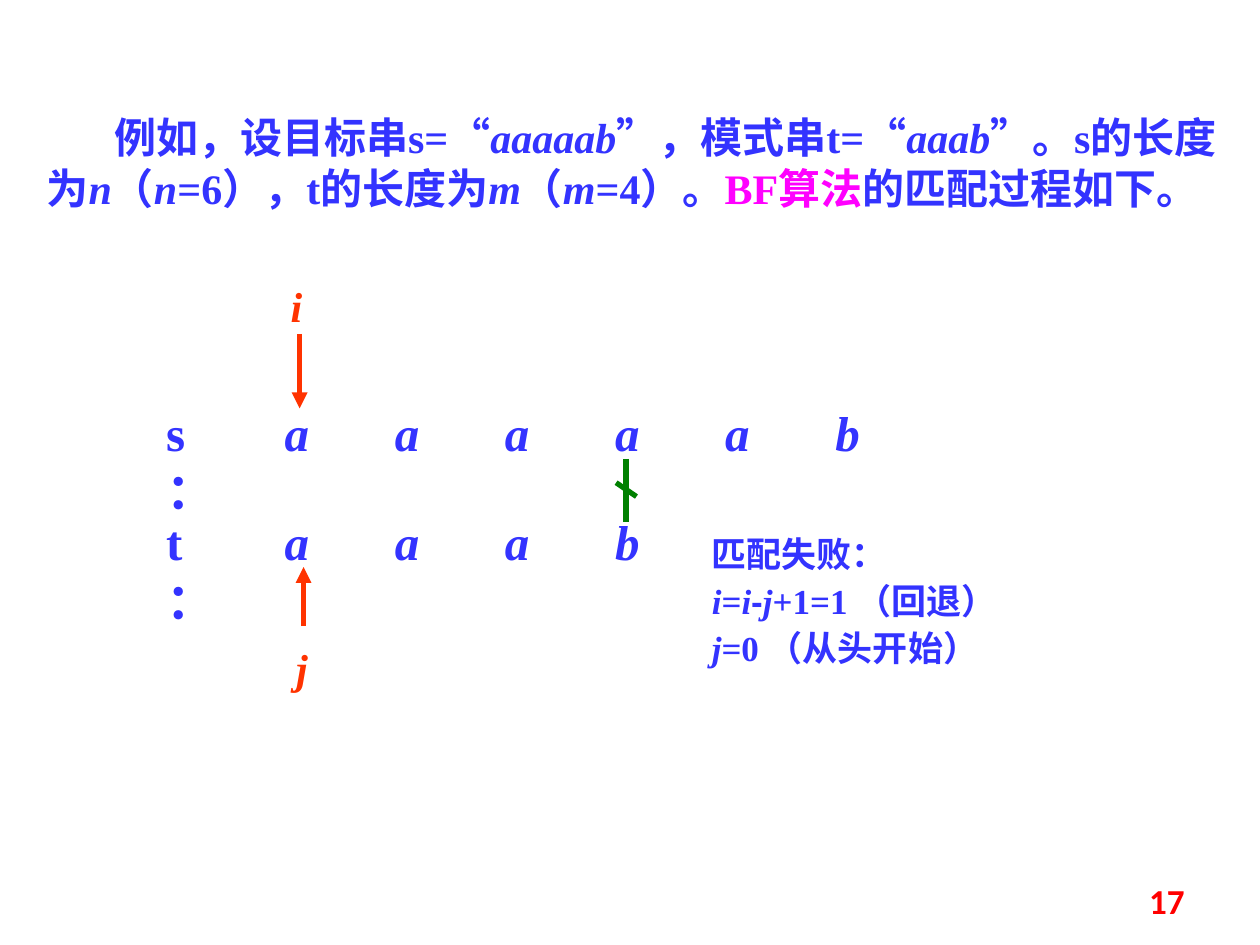
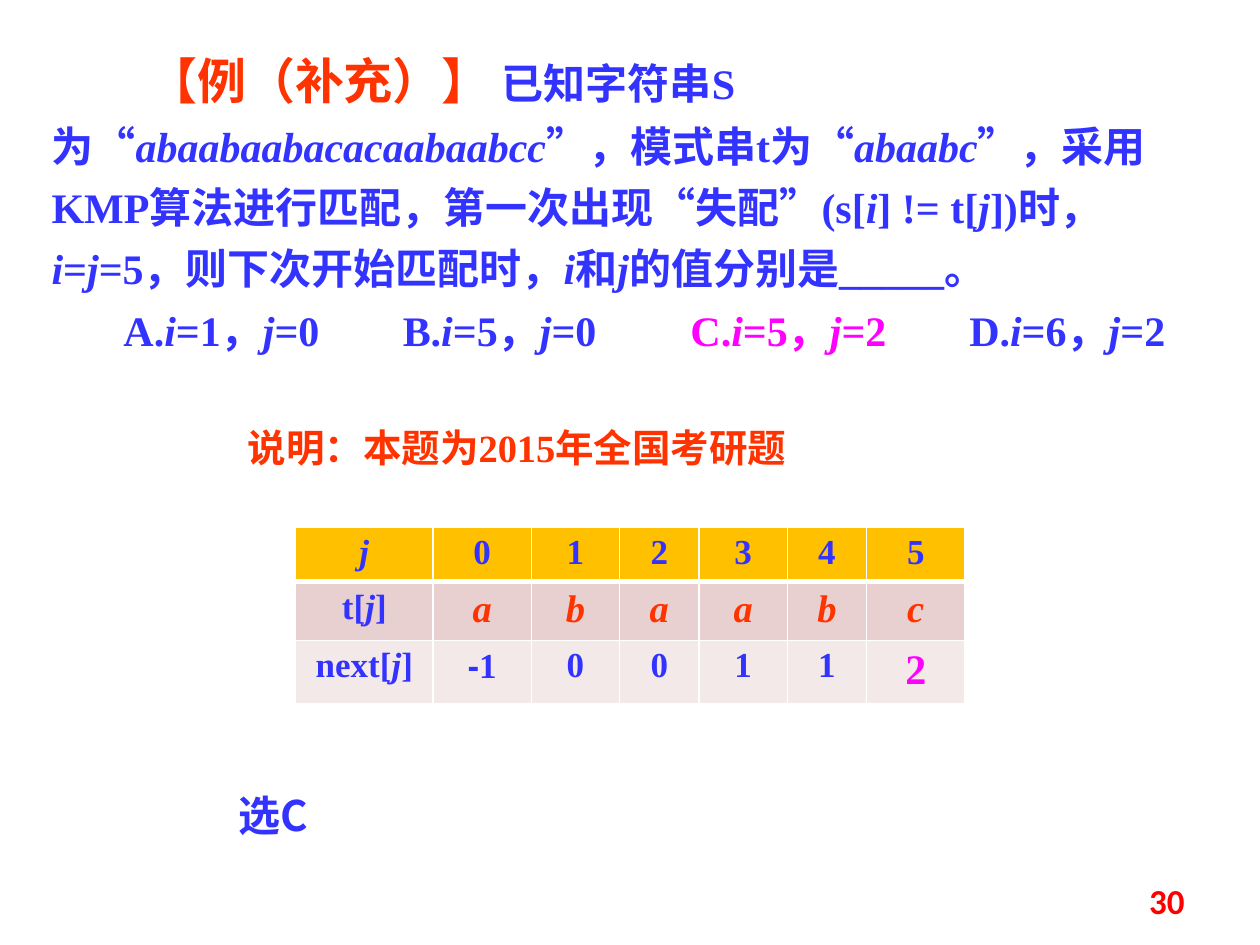
"""Build two slides on BF and KMP string matching."""
import dataclasses

import pptx
import pptx.dml.color
import pptx.enum.shapes
import pptx.enum.text
import pptx.oxml
import pptx.oxml.ns
import pptx.util
from lxml import etree

Cm = pptx.util.Cm
Pt = pptx.util.Pt
qn = pptx.oxml.ns.qn
Align = pptx.enum.text.PP_ALIGN

CHINESE_FONT = "Noto Sans CJK SC"
COLORS = {
    "blue": "3333FF",
    "orange": "FF3300",
    "pink": "FF00FF",
    "green": "008000",
    "red": "FF0000",
    "white": "FFFFFF",
    "header": "FFC000",
    "band": "E8D0D0",
    "light_band": "F4E9E9",
}


def rgb(color):
    return pptx.dml.color.RGBColor.from_string(COLORS[color])


def write(paragraph, text, size=24, color="blue", font="Times New Roman",
          east_asian_font="Arial", bold=True):
    for index, part in enumerate(text.split("*")):
        if not part:
            continue
        run = paragraph.add_run()
        run.text = part
        run.font.size = Pt(size)
        run.font.name = font
        run.font.bold = bold
        run.font.italic = index % 2 == 1
        run.font.color.rgb = rgb(color)
        east_asian = etree.Element(qn("a:ea"), typeface=east_asian_font)
        run.font._element.find(qn("a:latin")).addnext(east_asian)


def write_spans(paragraph, spans, **style):
    for span in [spans] if isinstance(spans, str) else spans:
        text, changes = (span, {}) if isinstance(span, str) else span
        write(paragraph, text, **{**style, **changes})


@dataclasses.dataclass
class Deck:
    presentation: object
    slide: object = None

    def add_slide(self, number):
        self.slide = self.presentation.slides.add_slide(
            self.presentation.slide_layouts[6])
        self.add_text(18.21, 17.65, 5.92, 1.02, [str(number)], align=Align.RIGHT,
                      grow=False, size=20, color="red", font="Calibri")

    def add_text(self, left, top, width, height, paragraphs, align=Align.LEFT,
                 grow=True, first_indent=None, tabs=(), line_spacing=None,
                 space_between=0, **style):
        shape = self.slide.shapes.add_textbox(
            Cm(left), Cm(top), Cm(width), Cm(height))
        frame = shape.text_frame
        frame.word_wrap = True
        if grow:
            frame.auto_size = pptx.enum.text.MSO_AUTO_SIZE.SHAPE_TO_FIT_TEXT
        else:
            frame.vertical_anchor = pptx.enum.text.MSO_ANCHOR.MIDDLE
        for index, spans in enumerate(paragraphs):
            paragraph = frame.add_paragraph() if index else frame.paragraphs[0]
            properties = paragraph._p.get_or_add_pPr()
            if first_indent and not index:
                properties.set("marL", "0")
                properties.set("indent", str(Cm(first_indent)))
            elif tabs:
                tab_list = etree.SubElement(properties, qn("a:tabLst"))
                for position in tabs:
                    etree.SubElement(tab_list, qn("a:tab"),
                                     pos=str(Cm(position)), algn="l")
            paragraph.alignment = align
            if line_spacing:
                paragraph.line_spacing = line_spacing
            if index and space_between:
                paragraph.space_before = Pt(space_between)
            write_spans(paragraph, spans, **style)

    def add_line(self, start, end, color, arrow=False):
        connector = self.slide.shapes.add_connector(
            pptx.enum.shapes.MSO_CONNECTOR.STRAIGHT,
            *(Cm(value) for value in start + end))
        connector.line.color.rgb = rgb(color)
        connector.line.width = Pt(3)
        if arrow:
            etree.SubElement(connector.line._get_or_add_ln(),
                             qn("a:tailEnd"), type="triangle")
        etree.SubElement(connector._element.spPr, qn("a:effectLst"))

    def add_table(self, left, top, widths, heights, rows, fills, styles):
        table = self.slide.shapes.add_table(
            len(rows), len(widths), Cm(left), Cm(top),
            Cm(sum(widths)), Cm(sum(heights))).table
        table.first_row = table.horz_banding = False
        for column, width in zip(table.columns, widths):
            column.width = Cm(width)
        for row, height in zip(table.rows, heights):
            row.height = Cm(height)
        for row_index, row in enumerate(rows):
            for column_index, spans in enumerate(row):
                cell = table.cell(row_index, column_index)
                self.add_borders(cell, thick_top=row_index == 1,
                                 thick_bottom=row_index == 0)
                cell.fill.solid()
                cell.fill.fore_color.rgb = rgb(fills[row_index])
                paragraph = cell.text_frame.paragraphs[0]
                paragraph.alignment = Align.CENTER
                style = styles[row_index] if column_index else {"size": 20}
                write_spans(paragraph, spans, **style)

    def add_borders(self, cell, thick_top, thick_bottom):
        thick = {"a:lnT": thick_top, "a:lnB": thick_bottom}
        for side in ("a:lnL", "a:lnR", "a:lnT", "a:lnB"):
            width = Pt(3 if thick.get(side) else 1)
            line = etree.SubElement(cell._tc.get_or_add_tcPr(), qn(side),
                                    w=str(width))
            fill = etree.SubElement(line, qn("a:solidFill"))
            etree.SubElement(fill, qn("a:srgbClr"), val=COLORS["white"])


def build_matching_slide(deck):
    deck.add_slide(17)
    deck.add_text(0.69, 2.14, 24.2, 2.31, [[
        "例如，设目标串s=“*aaaaab*”，模式串t=“*aaab*”。"
        "s的长度为*n*（*n*=6），t的长度为*m*（*m*=4）。",
        ("BF算法", {"color": "pink"}),
        "的匹配过程如下。"]], first_indent=1.36, line_spacing=Pt(28.6),
        east_asian_font=CHINESE_FONT)

    letter_gap = 2.22
    strings = (("s：", "aaaaab", 7.98, 13.79), ("t：", "aaab", 10.19, 8.41))
    for label, letters, top, width in strings:
        stops = [letter_gap * count for count in range(1, len(letters))]
        deck.add_text(5.49, top, width, 1.45, ["*" + "\t".join(letters) + "*"],
                      tabs=stops, size=28)
        deck.add_text(3.1, top, 1.19, 1.45, [label], size=28)

    pointers = (("*i*", 5.61, 5.54, (6.04, 6.73), (6.04, 8.23)),
                ("*j*", 5.72, 12.83, (6.12, 12.62), (6.12, 11.43)))
    for name, left, top, start, end in pointers:
        deck.add_line(start, end, "orange", arrow=True)
        deck.add_text(left, top, 1.19, 1.27, [name], color="orange")

    deck.add_text(14.1, 10.85, 7.34, 2.9, [
        "匹配失败：",
        ["*i*=*i*", ("-", {"font": "Arial"}), "*j*+1=1 （回退）"],
        "*j*=0 （从头开始）"], line_spacing=0.7, space_between=10, size=20)
    deck.add_line((12.62, 9.25), (12.62, 10.52), "green")
    deck.add_line((12.42, 9.73), (12.83, 10.01), "green")


def build_exercise_slide(deck):
    deck.add_slide(30)
    question = [
        ("【例（补充）】 ", {"size": 28, "color": "orange"}),
        "已知字符串S为“*abaabaabacacaabaabcc*”，模式串t为“*abaabc*”，"
        "采用KMP算法进行匹配，第一次出现“失配”(s[*i*] != t[*j*])时，"
        "*i*=*j*=5，则下次开始匹配时，*i*和*j*的值分别是_____。"]
    options = [
        "\tA.*i*=1，*j*=0\tB.*i*=5，*j*=0\t",
        ("C.*i*=5，*j*=2", {"color": "pink"}),
        "\tD.*i*=6，*j*=2"]
    deck.add_text(0.79, 0.85, 23.62, 6.38, [question, options],
                  first_indent=1.95, tabs=[1.45, 7.08, 12.88, 18.5],
                  line_spacing=Pt(35), east_asian_font=CHINESE_FONT)
    deck.add_text(4.75, 8.43, 14.4, 1.19, ["说明：本题为2015年全国考研题"],
                  size=22, color="orange")
    deck.add_table(
        5.96, 10.62,
        widths=[2.77, 1.98, 1.78, 1.6, 1.78, 1.6, 1.98],
        heights=[1.05, 1.18, 1.26],
        rows=[
            ["*j*", *"012345"],
            ["t[*j*]", *(f"*{letter}*" for letter in "abaabc")],
            ["next[*j*]", [("-", {"font": "Arial"}), "1"], *"0011",
             [("2", {"size": 24, "color": "pink"})]]],
        fills=["header", "band", "light_band"],
        styles=[{"size": 20}, {"size": 22, "color": "orange"}, {"size": 20}])
    deck.add_text(4.55, 15.79, 2.77, 1.27, ["选C"], font=CHINESE_FONT,
                  east_asian_font=CHINESE_FONT)


def main():
    presentation = pptx.Presentation()
    presentation.slide_width = Cm(25.4)
    presentation.slide_height = Cm(19.05)
    deck = Deck(presentation)
    build_matching_slide(deck)
    build_exercise_slide(deck)
    presentation.save("out.pptx")


if __name__ == "__main__":
    main()
